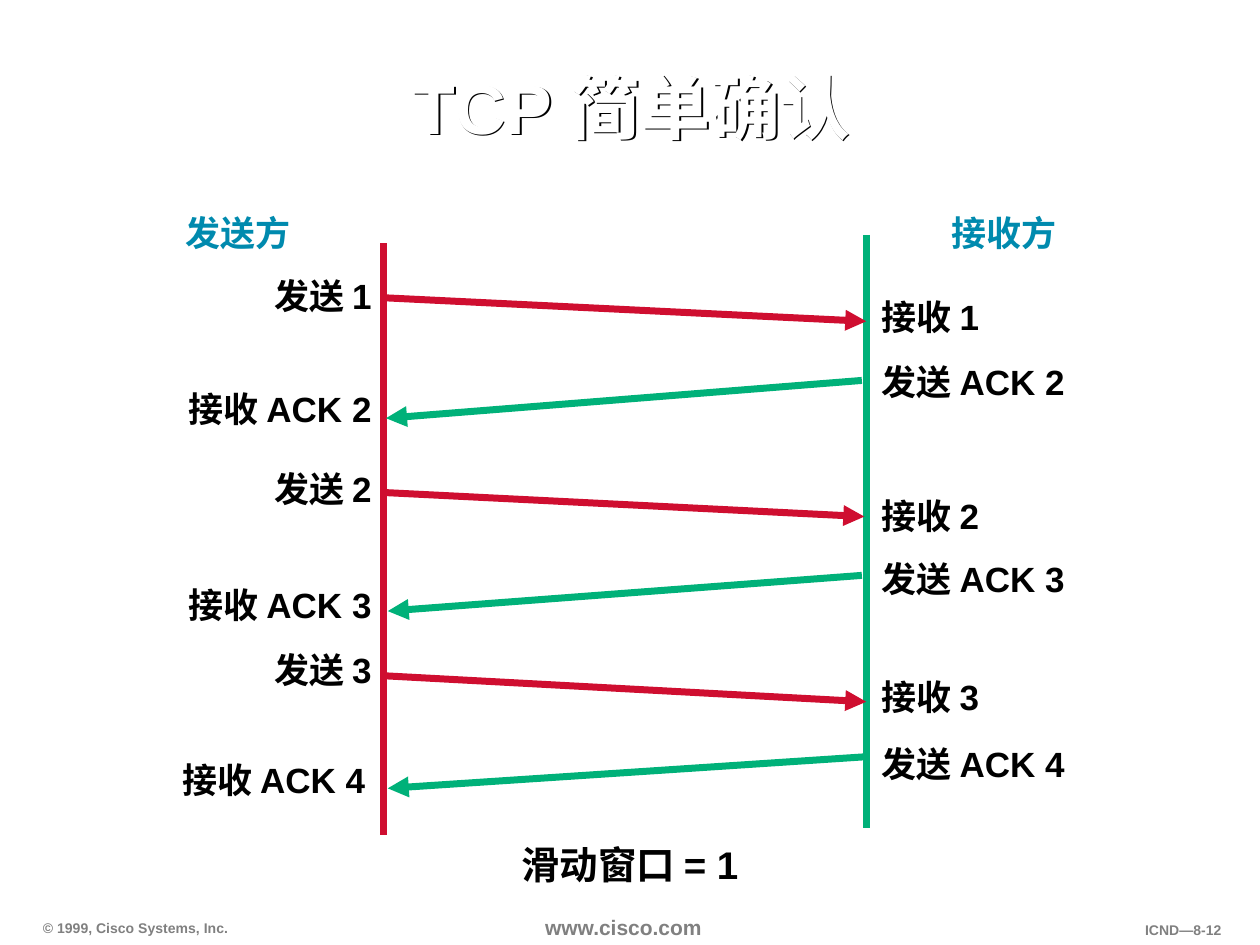
from lxml import etree
from pptx import Presentation
from pptx import util as u
from pptx.dml.color import RGBColor
from pptx.enum import shapes, text
from pptx.oxml.ns import qn

Pt = u.Pt
LEFT, CENTER, RIGHT = text.PP_ALIGN.LEFT, text.PP_ALIGN.CENTER, text.PP_ALIGN.RIGHT
TOP, MIDDLE, BOTTOM = (text.MSO_ANCHOR.TOP, text.MSO_ANCHOR.MIDDLE,
                       text.MSO_ANCHOR.BOTTOM)
RED, GREEN, TEAL = "CF0E30", "00B179", "008AAE"
BLACK, WHITE, GREY = "000000", "FFFFFF", "808080"
LABEL_HEIGHT, LABEL_WIDTH = 42, 190
RECEIVER_LABEL_X = 502.2
SENDER_X, RECEIVER_X = 219.3, 495.2

EXCHANGES = [
    ("发送 1", 213.8, 155.2, "接收 1", 167, (220.3, 170.2), (495, 183.6), RED),
    ("接收 ACK 2", 213.8, 220, "发送 ACK 2", 204.5, (492.5, 217.4), (220.6, 239), GREEN),
    ("发送 2", 213.8, 265.4, "接收 2", 280.8, (220.3, 281.5), (493.9, 295.2), RED),
    ("接收 ACK 3", 213.8, 331.6, "发送 ACK 3", 317, (492.5, 328.8), (221.6, 349.2), GREEN),
    ("发送 3", 213.8, 369, "接收 3", 384.5, (220.3, 386.2), (495, 401), RED),
    ("接收 ACK 4", 210.2, 431.7, "发送 ACK 4", 422.6, (493.9, 432.5), (221.6, 450.5), GREEN),
]


def color(hex_code):
    """Return the RGB colour for a hex string."""
    return RGBColor.from_string(hex_code)


def write(shape, words, size, hex_code, align=LEFT, anchor=TOP, inset=(6.5, 3),
          spacing=None, wrap=True):
    """Fill a shape with one bold Arial paragraph."""
    frame = shape.text_frame
    frame.word_wrap = wrap
    frame.vertical_anchor = anchor
    frame.margin_left = frame.margin_right = Pt(inset[0])
    frame.margin_top = frame.margin_bottom = Pt(inset[1])
    paragraph = frame.paragraphs[0]
    paragraph.alignment = align
    if spacing:
        paragraph.line_spacing = spacing
    run = paragraph.add_run()
    run.text = words
    run.font.name = "Arial"
    run.font.size = Pt(size)
    run.font.bold = True
    run.font.color.rgb = color(hex_code)


def add_text(slide, box, words, size, hex_code, **style):
    """Add a text box at (left, top, width, height) and return it."""
    holder = slide.shapes.add_textbox(*map(Pt, box))
    write(holder, words, size, hex_code, **style)
    return holder


def add_title(slide, words):
    """Add the white title whose unfilled box casts a dark text shadow."""
    title = add_text(slide, (60.5, 18.7, 600.5, 90), words, 40, WHITE,
                     align=CENTER, anchor=MIDDLE, spacing=0.9)
    effects = etree.SubElement(title._element.spPr, qn("a:effectLst"))
    shadow = etree.SubElement(effects, qn("a:outerShdw"), dist="17961", dir="2700000")
    etree.SubElement(shadow, qn("a:srgbClr"), val=BLACK)


def add_party(slide, left, width, words):
    """Add the white heading plate that names one side."""
    plate = slide.shapes.add_shape(shapes.MSO_SHAPE.RECTANGLE, Pt(left), Pt(122.4),
                                   Pt(width), Pt(34))
    plate.shadow.inherit = False
    plate.fill.solid()
    plate.fill.fore_color.rgb = color(WHITE)
    plate.line.fill.background()
    write(plate, words, 20, TEAL, align=CENTER, inset=(1.5, 2), spacing=Pt(20.2))


def add_label(slide, left, top, words, align):
    """Add the event label beside a timeline."""
    add_text(slide, (left, top, LABEL_WIDTH, LABEL_HEIGHT), words, 20, BLACK,
             align=align, inset=(1.5, 2), spacing=Pt(23.6))


def add_line(slide, start, end, hex_code, arrow=False):
    """Add a thick straight line, with a triangle at its end if wanted."""
    line = slide.shapes.add_connector(shapes.MSO_CONNECTOR.STRAIGHT,
                                      *map(Pt, start + end))
    line.line.color.rgb = color(hex_code)
    line.line.width = Pt(4)
    properties = line._element.spPr
    if arrow:
        etree.SubElement(properties.find(qn("a:ln")), qn("a:tailEnd"), type="triangle")
    etree.SubElement(properties, qn("a:effectLst"))


def add_footer(slide):
    """Add the copyright line, the web address and the page code."""
    add_text(slide, (18, 522.4, 121, 15.8), "© 1999, Cisco Systems, Inc.", 8, GREY,
             anchor=BOTTOM, wrap=False)
    add_text(slide, (305.7, 519.8, 108, 20), "www.cisco.com", 12, GREY, inset=(5.8, 3))
    add_text(slide, (618.2, 523.4, 86.4, 15.8), "ICND—8-12", 8, GREY,
             align=RIGHT, wrap=False)


def main():
    """Build the slide and save it."""
    deck = Presentation()
    deck.slide_width, deck.slide_height = Pt(720), Pt(540)
    slide = deck.slides.add_slide(deck.slide_layouts[6])
    add_footer(slide)
    add_text(slide, (36, 481, 648, 30), "滑动窗口 = 1", 22, BLACK,
             align=CENTER, anchor=MIDDLE, spacing=0.85)
    add_party(slide, 86.4, 103.7, "发送方 ")
    add_party(slide, 510.5, 126, "接收方")
    add_line(slide, (SENDER_X, 139), (SENDER_X, 477.4), RED)
    add_line(slide, (RECEIVER_X, 134.2), (RECEIVER_X, 473), GREEN)
    for sent, edge, sent_top, received, received_top, start, end, hue in EXCHANGES:
        add_label(slide, edge - LABEL_WIDTH, sent_top, sent, RIGHT)
        add_label(slide, RECEIVER_LABEL_X, received_top, received, LEFT)
        add_line(slide, start, end, hue, arrow=True)
    add_title(slide, "TCP 简单确认")
    deck.save("out.pptx")


if __name__ == "__main__":
    main()
